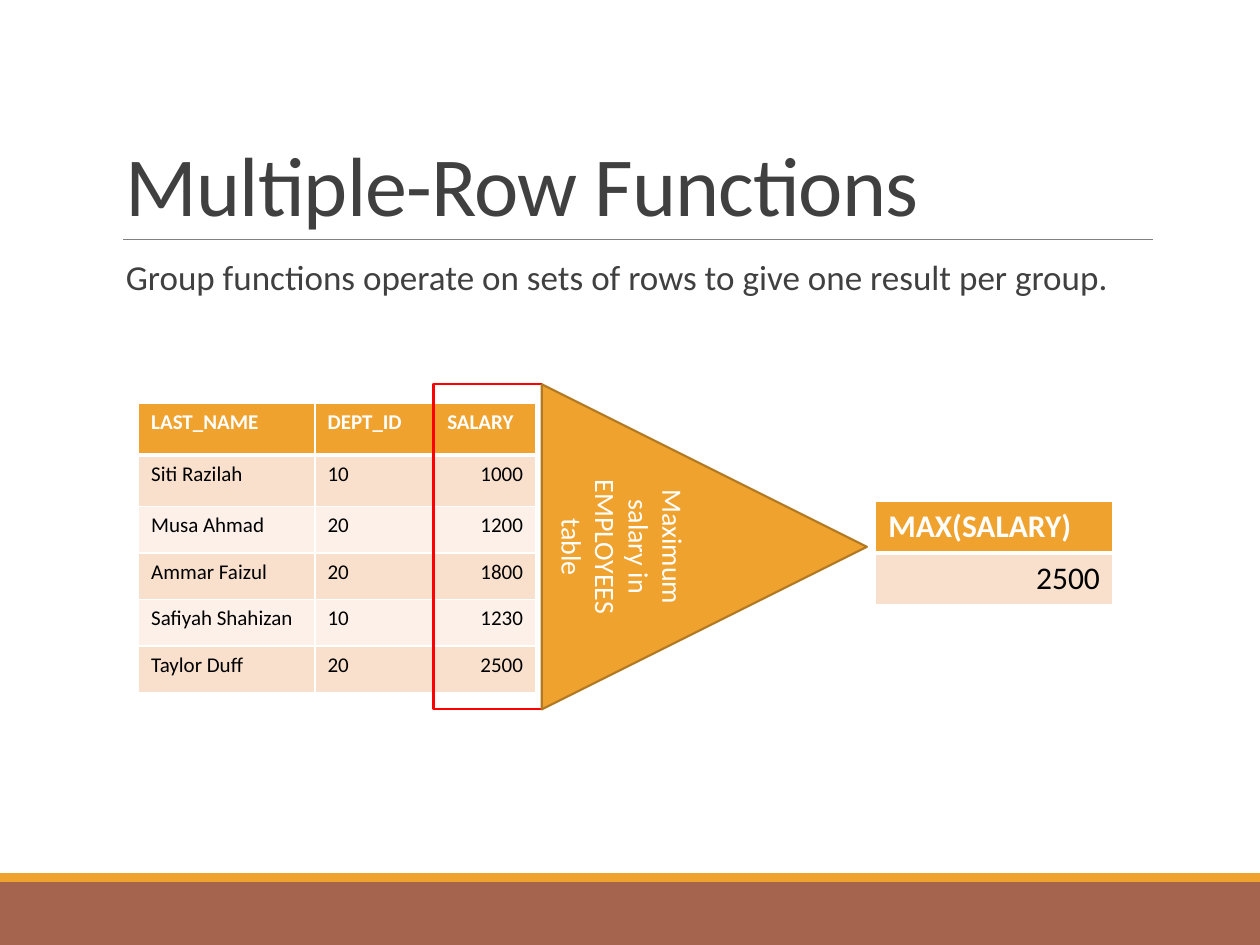
from dataclasses import dataclass

from lxml.etree import SubElement
from pptx import Presentation
from pptx.dml.color import RGBColor
from pptx.enum.shapes import MSO_CONNECTOR as Connector, MSO_SHAPE as Shape
from pptx.enum.text import MSO_ANCHOR as Anchor, PP_ALIGN as Align
from pptx.oxml.ns import qn
from pptx.util import Inches, Pt


@dataclass(frozen=True)
class Theme:
    """Colours, font and type sizes of the slide."""
    font: str = "Calibri"
    ink: str = "404040"
    black: str = "000000"
    white: str = "FFFFFF"
    rule: str = "808080"
    amber: str = "F0A22E"
    amber_edge: str = "B27822"
    brown: str = "A5644E"
    red: str = "FF0000"
    bands: tuple = ("F9E0CD", "FCF0E8")
    title: int = 48
    body: int = 20
    label: int = 16
    employees: int = 12
    result: int = 18
    outline: float = 1.25


THEME = Theme()
EMPLOYEES = [
    ("LAST_NAME", "DEPT_ID", "SALARY"),
    ("Siti Razilah", "10", "1000"),
    ("Musa Ahmad", "20", "1200"),
    ("Ammar Faizul", "20", "1800"),
    ("Safiyah Shahizan", "10", "1230"),
    ("Taylor Duff", "20", "2500"),
]
RESULT = [("MAX(SALARY)",), ("2500",)]


def color(value):
    """Turn a hex value into a colour."""
    return RGBColor.from_string(value)


def write(frame, text, size, ink, bold=False, align=Align.LEFT, spacing=1.0):
    """Fill a text frame with one formatted paragraph."""
    frame.text = text
    para = frame.paragraphs[0]
    para.alignment, para.line_spacing = align, spacing
    span = para.runs[0]
    span.font.name, span.font.size, span.font.bold = THEME.font, Pt(size), bold
    span.font.color.rgb = color(ink)
    return span


def add_text(page, place, text, size, spacing, anchor=Anchor.TOP):
    """Add a wrapping text box."""
    box = page.shapes.add_textbox(*map(Inches, place))
    frame = box.text_frame
    frame.word_wrap, frame.vertical_anchor = True, anchor
    return write(frame, text, size, THEME.ink, spacing=spacing)


def add_shape(page, kind, place, fill=None, edge=None):
    """Add a preset shape with an optional fill and outline."""
    shape = page.shapes.add_shape(kind, *map(Inches, place))
    shape.shadow.inherit = False
    if fill:
        shape.fill.solid()
        shape.fill.fore_color.rgb = color(fill)
    else:
        shape.fill.background()
    if edge:
        shape.line.color.rgb = color(edge)
        shape.line.width = Pt(THEME.outline)
    else:
        shape.line.fill.background()
    return shape


def add_rule(page, left, right, top):
    """Add the thin line under the title."""
    ends = map(Inches, (left, top, right, top))
    rule = page.shapes.add_connector(Connector.STRAIGHT, *ends)
    rule.line.color.rgb, rule.line.width = color(THEME.rule), Pt(0.5)
    SubElement(rule._element.spPr, qn("a:effectLst"))


def set_borders(cell, row):
    """Draw white cell borders, heavier between header and body."""
    widths = {"L": 1, "R": 1, "T": 3 if row == 1 else 1, "B": 1 if row else 3}
    properties = cell._tc.get_or_add_tcPr()
    for side, width in widths.items():
        line = SubElement(properties, qn(f"a:ln{side}"), w=str(Pt(width)))
        fill = SubElement(line, qn("a:solidFill"))
        SubElement(fill, qn("a:srgbClr"), val=THEME.white)


def add_table(page, left, top, rows, widths, heights, size):
    """Add a banded table whose last column is right-aligned."""
    place = map(Inches, (left, top, sum(widths), sum(heights)))
    table = page.shapes.add_table(len(rows), len(widths), *place).table
    for column, width in zip(table.columns, widths):
        column.width = Inches(width)
    for index, (values, height) in enumerate(zip(rows, heights)):
        table.rows[index].height = Inches(height)
        header = index == 0
        for column, value in enumerate(values):
            cell = table.cell(index, column)
            set_borders(cell, index)
            cell.fill.solid()
            band = THEME.amber if header else THEME.bands[(index - 1) % 2]
            cell.fill.fore_color.rgb = color(band)
            number = not header and column == len(values) - 1
            write(cell.text_frame, value, size,
                  THEME.white if header else THEME.black, header,
                  Align.RIGHT if number else Align.LEFT)


def add_funnel(page, place, text):
    """Add the triangle that points from the salaries to the result."""
    funnel = add_shape(page, Shape.ISOSCELES_TRIANGLE, place,
                       THEME.amber, THEME.amber_edge)
    funnel.rotation = 90
    funnel.text_frame.word_wrap = True
    funnel.text_frame.vertical_anchor = Anchor.MIDDLE
    write(funnel.text_frame, text, THEME.label, THEME.white, align=Align.CENTER)


def main():
    """Build and save the slide."""
    deck = Presentation()
    deck.slide_width, deck.slide_height = Inches(10), Inches(7.5)
    page = deck.slides.add_slide(deck.slide_layouts[6])
    add_shape(page, Shape.RECTANGLE, (0, 7, 10, 0.5), THEME.brown)
    add_shape(page, Shape.RECTANGLE, (0, 6.93, 10, 0.07), THEME.amber)
    add_rule(page, 0.98, 9.15, 1.9)
    title = add_text(page, (0.9, 0.31, 8.25, 1.59), "Multiple-Row Functions",
                     THEME.title, 0.85, Anchor.BOTTOM)
    title.font._element.set("spc", "-50")
    add_text(page, (0.9, 2.02, 8.25, 4.4),
             "Group functions operate on sets of rows to give one result per group.",
             THEME.body, 0.9)
    add_table(page, 1.1, 3.2, EMPLOYEES, (1.4, 0.95, 0.8),
              (0.41,) * 2 + (0.37,) * 4, THEME.employees)
    add_shape(page, Shape.RECTANGLE, (3.44, 3.05, 0.86, 2.58), edge=THEME.red)
    add_funnel(page, (4.3, 3.05, 2.58, 2.58), "Maximum salary in EMPLOYEES table")
    add_table(page, 6.95, 3.98, RESULT, (1.88,), (0.41,) * 2, THEME.result)
    deck.save("out.pptx")


if __name__ == "__main__":
    main()
